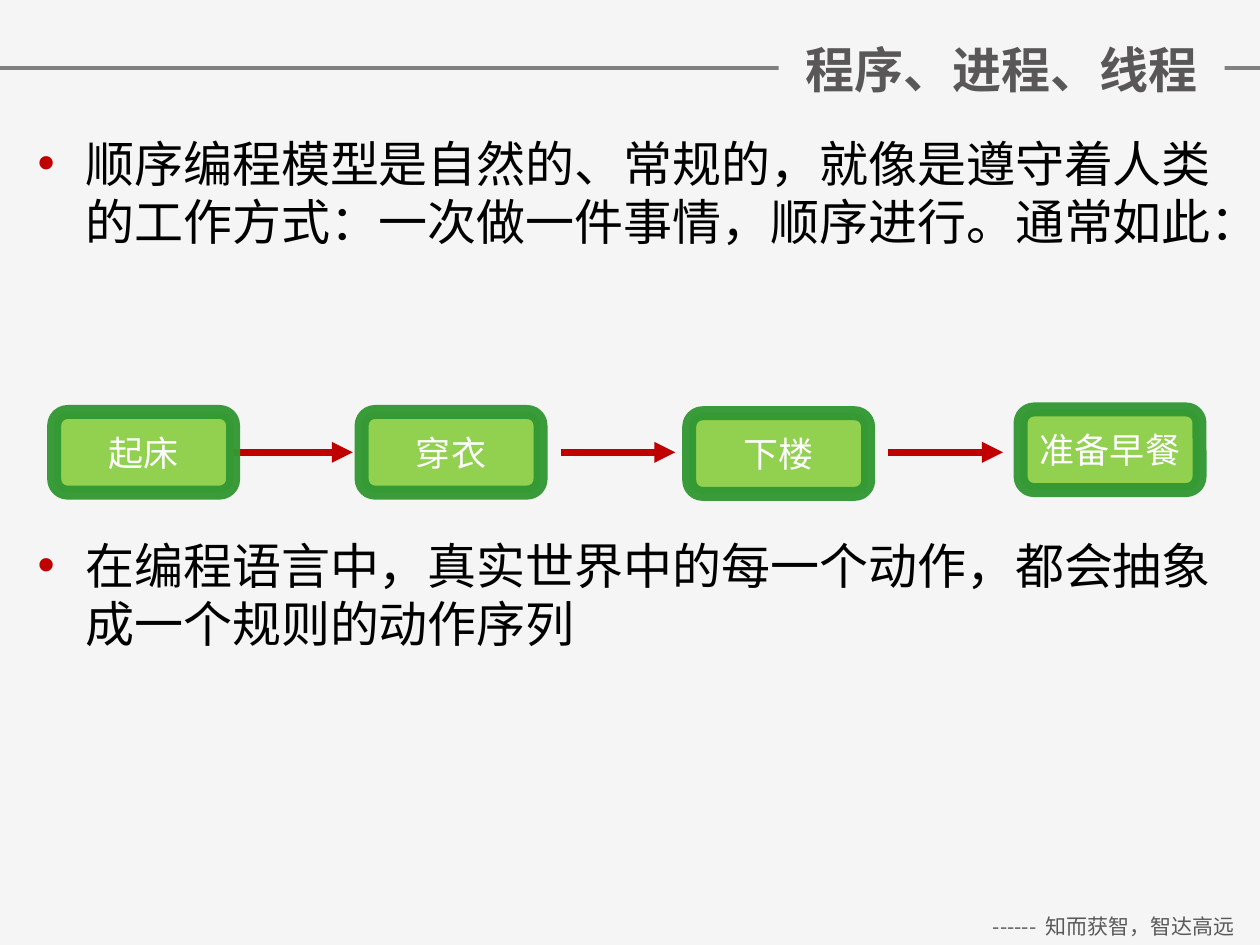
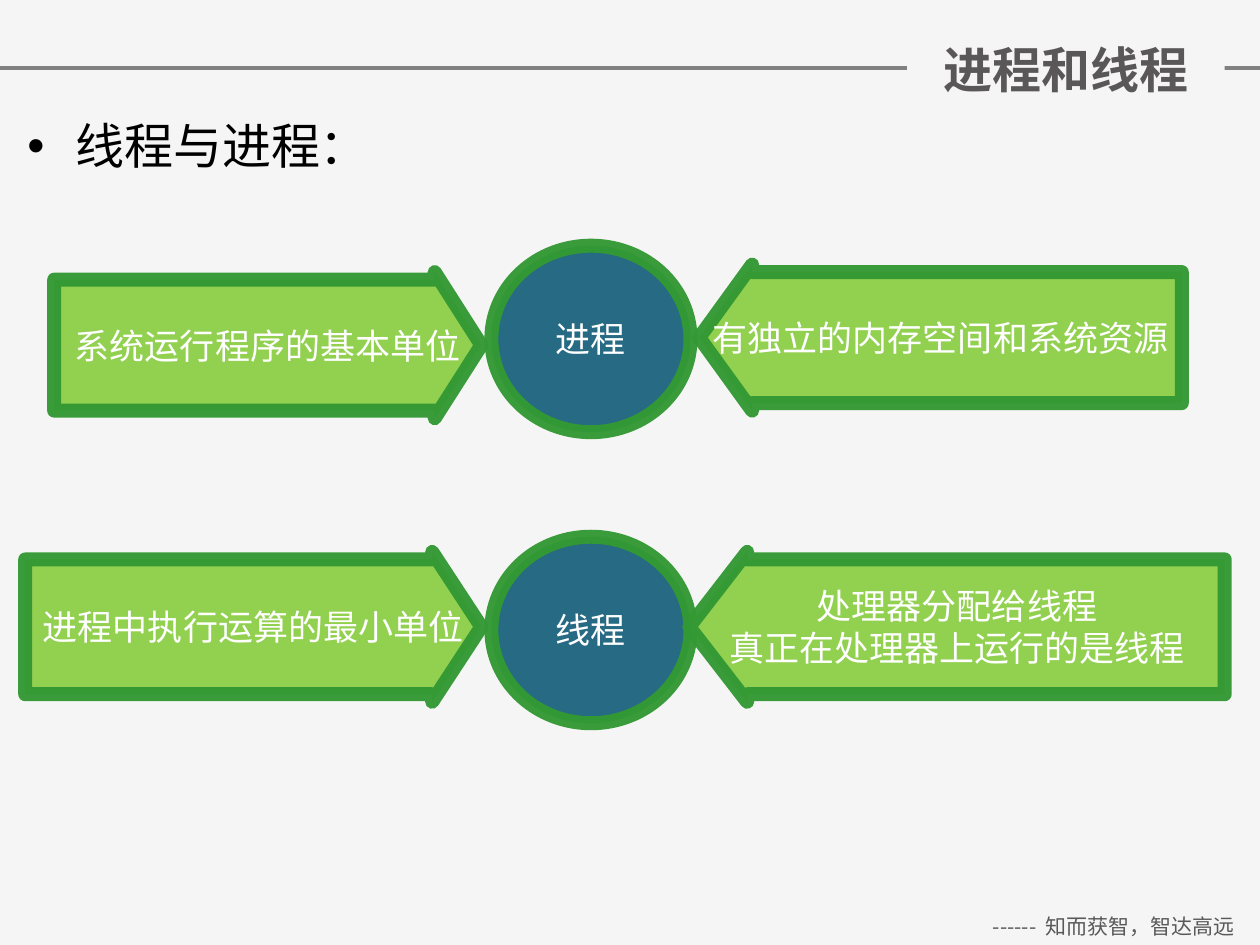
"""Build two slides on programs, processes and threads."""
import pptx
import pptx.util
import pptx.dml.color
import pptx.enum.shapes
import pptx.enum.text
import pptx.oxml
import pptx.oxml.ns
from lxml import etree

Inches = pptx.util.Inches
Pt = pptx.util.Pt
RGBColor = pptx.dml.color.RGBColor
SHAPES = pptx.enum.shapes.MSO_SHAPE
STRAIGHT = pptx.enum.shapes.MSO_CONNECTOR.STRAIGHT
CENTER = pptx.enum.text.PP_ALIGN.CENTER
LEFT = pptx.enum.text.PP_ALIGN.LEFT
MIDDLE = pptx.enum.text.MSO_ANCHOR.MIDDLE
TOP = pptx.enum.text.MSO_ANCHOR.TOP
qn = pptx.oxml.ns.qn

PAPER = RGBColor(0xF5, 0xF5, 0xF5)
RULE_GRAY = RGBColor(0x80, 0x80, 0x80)
TITLE_GRAY = RGBColor(0x59, 0x57, 0x58)
FOOTER_GRAY = RGBColor(0x59, 0x59, 0x59)
BLACK = RGBColor(0, 0, 0)
WHITE = RGBColor(0xFF, 0xFF, 0xFF)
RED = RGBColor(0xC0, 0, 0)
LIME = RGBColor(0x92, 0xD0, 0x50)
GREEN = RGBColor(0x33, 0x99, 0x33)
TEAL = RGBColor(0x27, 0x6A, 0x83)
CJK = "Noto Sans CJK SC"


def write(shape, text, size=20, color=WHITE, font=CJK, bold=False, align=CENTER,
          anchor=MIDDLE, wrap=False, spacing=None, bullet=None):
    """Fill a shape with formatted text, one paragraph per line."""
    frame = shape.text_frame
    frame.text = text
    frame.word_wrap = wrap
    frame.vertical_anchor = anchor
    for paragraph in frame.paragraphs:
        paragraph.alignment = align
        if spacing:
            paragraph.line_spacing = Pt(spacing)
        if bullet is not None:
            props = paragraph._p.get_or_add_pPr()
            props.set("marL", str(Inches(0.38)))
            props.set("indent", str(-Inches(0.38)))
            bullet_color = etree.SubElement(props, qn("a:buClr"))
            etree.SubElement(bullet_color, qn("a:srgbClr"), val=str(bullet))
            etree.SubElement(props, qn("a:buFont"), typeface="Arial")
            etree.SubElement(props, qn("a:buChar"), char="•")
        for run in paragraph.runs:
            run.font.size = Pt(size)
            run.font.bold = bold
            run.font.color.rgb = color
            run.font.name = font
            run.font._element.find(qn("a:latin")).addnext(
                pptx.oxml.parse_xml('<a:ea xmlns:a="%s" typeface="%s"/>' % (pptx.oxml.ns.nsuri("a"), CJK)))


def style(shape, fill=None, line=GREEN, width=8):
    """Give a connector a plain line, or a shape a fill and a nearly opaque outline."""
    shape.line.color.rgb = line
    shape.line.width = Pt(width)
    if fill is None:
        etree.SubElement(shape._element.spPr, qn("a:effectLst"))
        return
    shape.shadow.inherit = False
    shape.fill.solid()
    shape.fill.fore_color.rgb = fill
    outline = shape.line._ln.find(qn("a:solidFill"))
    etree.SubElement(outline[0], qn("a:alpha"), val="96000")


deck = pptx.Presentation()
deck.slide_width = Inches(10)
deck.slide_height = Inches(7.5)

slides = []
for heading, left, top, width, height in [
    ("程序、进程、线程", 6.18, 0.03, 3.54, 1.04),
    ("进程和线程", 7.2, 0.26, 2.52, 0.57),
]:
    slide = deck.slides.add_slide(deck.slide_layouts[5])
    slides.append(slide)
    slide.background.fill.solid()
    slide.background.fill.fore_color.rgb = PAPER
    title = slide.shapes.title
    title.left, title.top = Inches(left), Inches(top)
    title.width, title.height = Inches(width), Inches(height)
    title.fill.solid()
    title.fill.fore_color.rgb = PAPER
    write(title, heading, size=28, color=TITLE_GRAY, bold=True)
    rule = slide.shapes.add_connector(STRAIGHT, 0, Inches(0.54), Inches(10), Inches(0.54))
    style(rule, line=RULE_GRAY, width=2)
    title._element.addprevious(rule._element)
    motto = slide.shapes.add_textbox(Inches(7.68), Inches(7.2), Inches(2.32), Inches(0.3))
    write(motto, "------  知而获智，智达高远", size=12, color=FOOTER_GRAY)

sequence, threads = slides

for slide, left, top, height, statement, bullet in [
    (sequence, 0.2, 1.02, 1.1,
     "顺序编程模型是自然的、常规的，就像是遵守着人类的工作方式：一次做一件事情，顺序进行。通常如此：", RED),
    (sequence, 0.2, 4.21, 1.1,
     "在编程语言中，真实世界中的每一个动作，都会抽象成一个规则的动作序列", RED),
    (threads, 0.12, 0.88, 0.6, "线程与进程：", BLACK),
]:
    point = slide.shapes.add_textbox(Inches(left), Inches(top), Inches(9.6), Inches(height))
    write(point, statement, size=28, color=BLACK, font="Calibri", align=LEFT, anchor=TOP,
          wrap=True, spacing=33, bullet=bullet)

arrows = []
for start in (1.89, 4.45, 7.05):
    arrow = sequence.shapes.add_connector(
        STRAIGHT, Inches(start), Inches(3.59), Inches(start + 0.91), Inches(3.59))
    style(arrow, line=RED, width=4)
    etree.SubElement(arrow.line._ln, qn("a:tailEnd"), type="triangle")
    arrows.append(arrow)

steps = []
for action, left, top in [("起床", 0.43, 3.27), ("穿衣", 2.87, 3.27),
                          ("下楼", 5.47, 3.28), ("准备早餐", 8.1, 3.25)]:
    step = sequence.shapes.add_shape(
        SHAPES.ROUNDED_RECTANGLE, Inches(left), Inches(top), Inches(1.42), Inches(0.64))
    style(step, LIME)
    write(step, action)
    steps.append(step)
arrows[0].begin_connect(steps[0], 3)

for concept, top in [("进程", 1.95), ("线程", 4.26)]:
    circle = threads.shapes.add_shape(
        SHAPES.OVAL, Inches(3.9), Inches(top), Inches(1.58), Inches(1.48))
    style(circle, TEAL)
    write(circle, concept)

for trait, base, neck, tip, top, bottom in [
    ("系统运行程序的基本单位", 0.43, 3.45, 3.82, 2.16, 3.32),
    ("有独立的内存空间和系统资源", 9.38, 5.97, 5.55, 2.1, 3.26),
    ("进程中执行运算的最小单位", 0.2, 3.43, 3.82, 4.38, 5.57),
    ("处理器分配给线程\n真正在处理器上运行的是线程", 9.72, 5.93, 5.47, 4.38, 5.57),
]:
    upper, lower = top + 0.06, bottom - 0.06
    corners = [(tip, (top + bottom) / 2), (neck, bottom), (neck, lower),
               (base, lower), (base, upper), (neck, upper)]
    outline = threads.shapes.build_freeform(Inches(neck), Inches(top))
    outline.add_line_segments([(Inches(x), Inches(y)) for x, y in corners], close=True)
    pointer = outline.convert_to_shape()
    style(pointer, LIME)
    write(pointer, trait, spacing=24)

deck.save("out.pptx")
